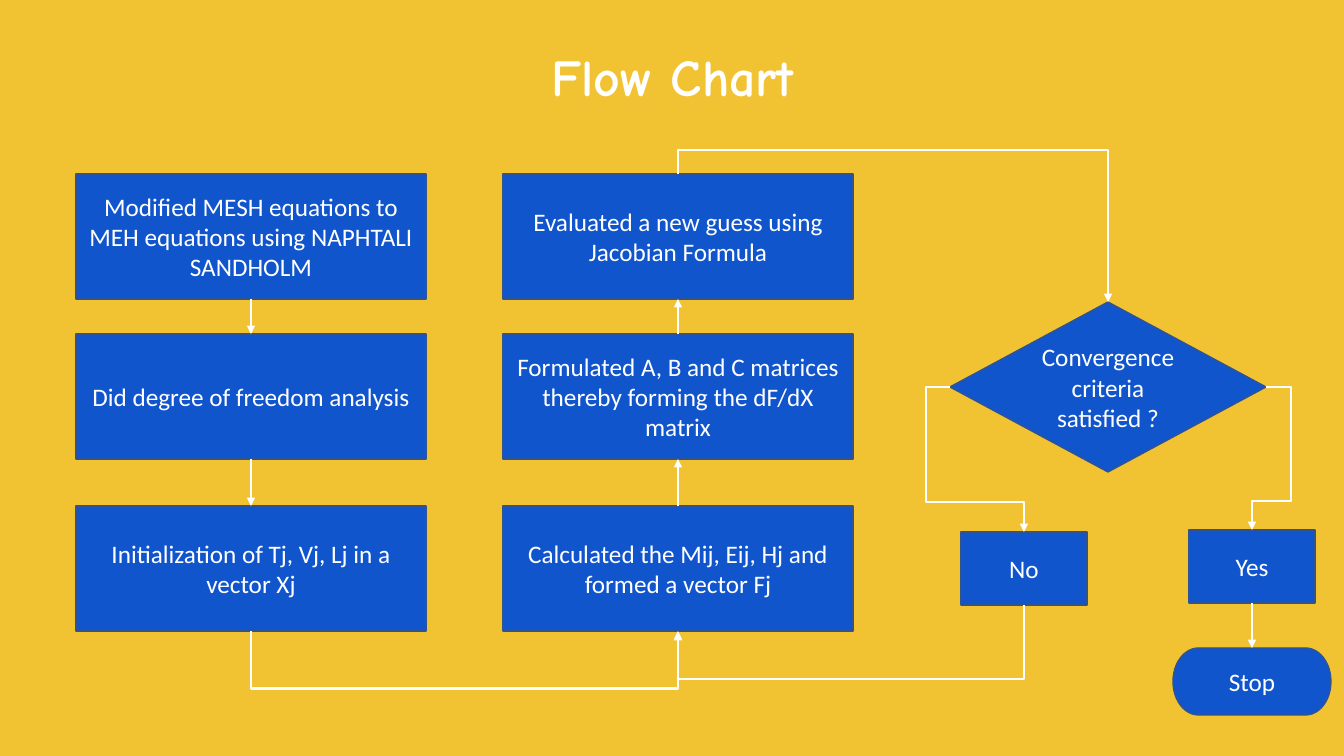
from dataclasses import dataclass
from lxml.etree import SubElement as Sub
from pptx import Presentation
from pptx.dml.color import RGBColor as Rgb
from pptx.enum.shapes import MSO_CONNECTOR as Link, MSO_SHAPE as Form
from pptx.enum.text import MSO_ANCHOR as Anchor, PP_ALIGN as Align
from pptx.oxml.ns import qn
from pptx.util import Pt

PX = 12192000 / 1344
TOP, LEFT, BOTTOM, RIGHT = range(4)


@dataclass(frozen=True)
class Theme:
    back: Rgb = Rgb.from_string("F1C232")
    fill: Rgb = Rgb.from_string("1155CC")
    edge: Rgb = Rgb.from_string("31538F")
    ink: Rgb = Rgb.from_string("FFFFFF")
    head: str = "Comic Neue"
    body: str = "Calibri"
    big: int = 37
    base: int = 18
    thin: float = 1
    line: float = 1.5


THEME = Theme()


def emu(px):
    return round(px * PX)


def place(shape, box):
    shape.left, shape.top, shape.width, shape.height = map(emu, box)


def write(shape, text, font, size, bold=False):
    frame = shape.text_frame
    frame.word_wrap = True
    frame.vertical_anchor = Anchor.MIDDLE
    para = frame.paragraphs[0]
    para.alignment = Align.CENTER
    run = para.add_run()
    run.text = text
    run.font.name, run.font.size, run.font.bold = font, Pt(size), bold
    run.font.color.rgb = THEME.ink
    return para


def title(slide, box):
    shape = slide.shapes.title
    place(shape, box)
    para = write(shape, "Flow Chart", THEME.head, THEME.big, True)
    para.line_spacing = 0.9


def node(slide, text, box, form=Form.FLOWCHART_PROCESS):
    shape = slide.shapes.add_shape(form, *map(emu, box))
    shape.shadow.inherit = False
    shape.fill.solid()
    shape.fill.fore_color.rgb = THEME.fill
    shape.line.color.rgb = THEME.edge
    shape.line.width = Pt(THEME.thin)
    write(shape, text, THEME.body, THEME.base)
    return shape


def link(slide, kind, start, end):
    line = slide.shapes.add_connector(kind, 0, 0, 0, 0)
    line.begin_connect(*start)
    line.end_connect(*end)
    line.line.color.rgb = THEME.ink
    line.line.width = Pt(THEME.line)
    props = line._element.spPr
    Sub(props.find(qn("a:ln")), qn("a:tailEnd"), type="triangle")
    Sub(props, qn("a:effectLst"))
    return line


def arrow(slide, start, end):
    link(slide, Link.STRAIGHT, start, end)


def elbow(slide, start, end, turn_y, turn_x=None):
    line = link(slide, Link.ELBOW, start, end)
    x, y = line.begin_x / PX, line.begin_y / PX
    dx = line.end_x / PX - x
    dy = max(1, line.end_y / PX - y)
    wide, high = abs(dx), dy
    form = line._element.spPr.find(qn("a:xfrm"))
    for key in ("flipH", "flipV"):
        form.attrib.pop(key, None)
    bends = [(turn_y - y) / dy]
    if turn_x is None:
        wide, high = high, wide
        form.set("rot", str((270 if dx > 0 else 90) * 60000))
        flip = dx > 0
    else:
        bends.insert(0, (turn_x - x) / dx)
        flip = dx < 0
    if flip:
        form.set("flipH", "1")
    place(line, (x + (dx - wide) / 2, y + (dy - high) / 2, wide, high))
    shape = line._element.spPr.find(qn("a:prstGeom"))
    shape.set("prst", f"bentConnector{len(bends) + 2}")
    guides = shape.find(qn("a:avLst"))
    for i, bend in enumerate(bends, 1):
        Sub(guides, qn("a:gd"), name=f"adj{i}", fmla=f"val {round(bend * 100000)}")


def column(slide, box, texts, up=False):
    x, y, wide, high = box
    tops = (0, 160, 332)
    nodes = [node(slide, text, (x, y + top, wide, high))
             for text, top in zip(texts, tops)]
    for upper, lower in zip(nodes, nodes[1:]):
        ends = (upper, BOTTOM), (lower, TOP)
        arrow(slide, *(reversed(ends) if up else ends))
    return nodes


def choice(slide, box):
    x, y, wide, high = box
    test = node(slide, "Convergence criteria satisfied ?", box, Form.FLOWCHART_DECISION)
    yes = node(slide, "Yes", (x + 239, y + 228, 126, 73))
    no = node(slide, "No", (x + 11, y + 230, 126, 73))
    stop = node(slide, "Stop", (x + 223, y + 346, 158, 67), Form.FLOWCHART_TERMINATOR)
    elbow(slide, (test, LEFT), (no, TOP), y + 200, x - 24)
    elbow(slide, (test, RIGHT), (yes, TOP), y + 199, x + wide + 25)
    arrow(slide, (yes, BOTTOM), (stop, TOP))
    return test, no


def chart(slide):
    title(slide, (93, 40, 1159, 79))
    first = column(slide, (76, 174, 350, 125), (
        "Modified MESH equations to MEH equations using NAPHTALI SANDHOLM",
        "Did degree of freedom analysis",
        "Initialization of Tj, Vj, Lj in a vector Xj"))
    second = column(slide, (503, 174, 350, 125), (
        "Evaluated a new guess using Jacobian Formula",
        "Formulated A, B and C matrices thereby forming the dF/dX matrix",
        "Calculated the Mij, Eij, Hj and formed a vector Fj"), up=True)
    test, no = choice(slide, (950, 302, 316, 170))
    elbow(slide, (second[0], TOP), (test, TOP), 150)
    elbow(slide, (first[-1], BOTTOM), (second[-1], BOTTOM), 689)
    elbow(slide, (no, BOTTOM), (second[-1], BOTTOM), 679)


def main():
    deck = Presentation()
    deck.slide_width, deck.slide_height = emu(1344), emu(756)
    slide = deck.slides.add_slide(deck.slide_layouts[5])
    slide.background.fill.solid()
    slide.background.fill.fore_color.rgb = THEME.back
    chart(slide)
    deck.save("out.pptx")


if __name__ == "__main__":
    main()
